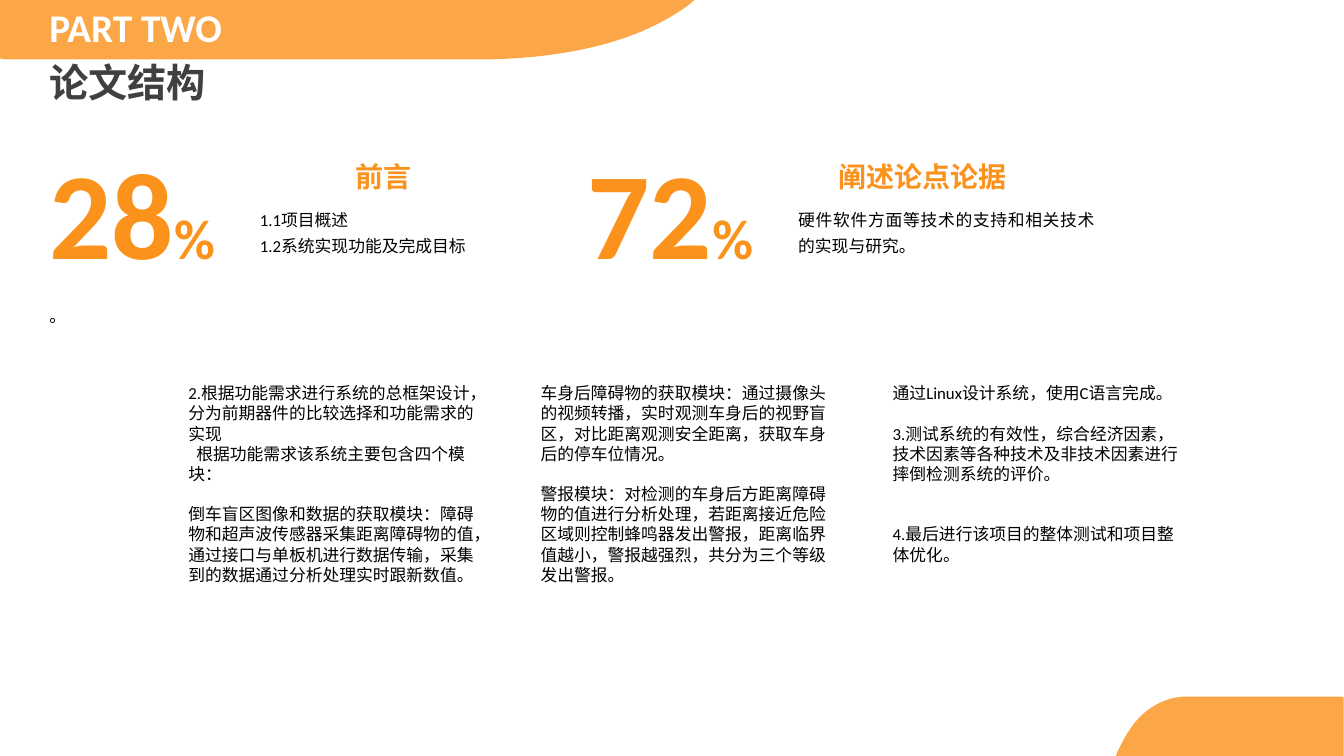
from lxml import etree
from pptx import Presentation, util as u
from pptx.dml.color import RGBColor
from pptx.enum import shapes, text
from pptx.oxml.ns import qn

COLORS = {"orange": "FA921B", "white": "FFFFFF", "dark": "404040", "black": "000000"}
FONT = "Calibri"
CELL = u.Inches(0.1)
LINE = 14.4
CURVE_STEPS = 16


def cells(*values):
    return [round(value * CELL) for value in values]


def bezier(start, first, second, end):
    for step in range(1, CURVE_STEPS + 1):
        t = step / CURVE_STEPS
        s = 1 - t
        weights = (s ** 3, 3 * s * s * t, 3 * s * t * t, t ** 3)
        corners = (start, first, second, end)
        yield tuple(sum(w * c[axis] for w, c in zip(weights, corners)) for axis in (0, 1))


class Deck:
    def __init__(self, width, height):
        self.presentation = Presentation()
        self.presentation.slide_width, self.presentation.slide_height = cells(width, height)
        self.slide = self.presentation.slides.add_slide(self.presentation.slide_layouts[5])
        self.canvas = self.slide.shapes

    def style(self, paragraph, size, color, bold=False, align=text.PP_ALIGN.LEFT, spacing=1.0):
        paragraph.alignment = align
        paragraph.line_spacing = spacing
        paragraph.space_before = u.Pt(0)
        paragraph.font.name = FONT
        paragraph.font.size = u.Pt(size)
        paragraph.font.bold = bold
        paragraph.font.color.rgb = RGBColor.from_string(COLORS[color])

    def title(self, box, content, size, color):
        shape = self.slide.shapes.title
        self.slide.shapes._spTree.append(shape._element)
        shape.left, shape.top, shape.width, shape.height = cells(*box)
        frame = shape.text_frame
        frame.text = content
        frame.auto_size = text.MSO_AUTO_SIZE.NONE
        frame.vertical_anchor = text.MSO_ANCHOR.MIDDLE
        self.style(frame.paragraphs[0], size, color, True, spacing=0.9)

    def text(self, box, lines, size, color="black", wrap=True,
             anchor=text.MSO_ANCHOR.TOP, **look):
        frame = self.canvas.add_textbox(*cells(*box)).text_frame
        frame.word_wrap = wrap
        frame.vertical_anchor = anchor
        for index, line in enumerate(lines):
            paragraph = frame.add_paragraph() if index else frame.paragraphs[0]
            paragraph.text = line
            self.style(paragraph, size, color, **look)
        return frame

    def heading(self, box, content):
        shape = self.canvas.add_shape(shapes.MSO_SHAPE.RECTANGLE, *cells(*box))
        shape.shadow.inherit = False
        shape.fill.solid()
        shape.fill.fore_color.rgb = RGBColor.from_string(COLORS["white"])
        shape.line.fill.background()
        shape.text_frame.word_wrap = False
        shape.text_frame.text = content
        self.style(shape.text_frame.paragraphs[0], 20, "orange", True, text.PP_ALIGN.CENTER)

    def band(self, outline):
        start, *rest = [tuple(cells(*point)) for point in outline]
        builder = self.canvas.build_freeform(*start)
        builder.add_line_segments(rest)
        shape = builder.convert_to_shape()
        shape.shadow.inherit = False
        shape.fill.solid()
        shape.fill.fore_color.rgb = RGBColor.from_string(COLORS["orange"])
        shape.line.fill.background()
        color = shape._element.spPr.find(".//" + qn("a:srgbClr"))
        etree.SubElement(color, qn("a:alpha")).set("val", "80000")

    def figure(self, left, number, title, title_width, lines):
        self.canvas = self.slide.shapes.add_group_shape().shapes
        self.heading((left + 34.2 - title_width / 2, 15.3, title_width, 4.4), title)
        self.text((left + 20.9, 19.7, 31.4, 6), lines, 12,
                  align=text.PP_ALIGN.JUSTIFY, spacing=1.3)
        frame = self.text((left, 13, 18.6, 15.8), [""], 88, "orange", wrap=False, bold=True)
        for content, size in ((number, 88), ("%", 40)):
            run = frame.paragraphs[0].add_run()
            run.text = content
            run.font.size = u.Pt(size)
        self.canvas = self.slide.shapes

    def column(self, box, entries):
        frame = self.text(box, [content for content, _, _ in entries], 12)
        for paragraph, (_, gap, indent) in zip(frame.paragraphs, entries):
            paragraph.space_before = u.Pt(gap * LINE)
            if indent:
                paragraph._p.get_or_add_pPr().set("indent", str(cells(indent)[0]))


HEADER_BAND = [
    (0, 0), (68.9, 0), (68.3, 0.5),
    *bezier((68.3, 0.5), (66, 2.2), (63, 3.6), (59.5, 4.5)),
    *bezier((59.5, 4.5), (56, 5.4), (51.9, 5.9), (47.3, 5.9)),
    (0.6, 5.9), (0, 5.8), (0, 0),
]
CORNER_BAND = [
    (133.3, 75), (110.7, 75), (110.9, 74.5),
    *bezier((110.9, 74.5), (111.7, 72.8), (112.6, 71.4), (113.8, 70.5)),
    *bezier((113.8, 70.5), (115, 69.6), (116.3, 69.1), (117.8, 69.1)),
    (133.1, 69.1), (133.3, 69.2), (133.3, 75),
]
FIGURES = [
    ("28", "前言", 7.6, ["1.1项目概述", "1.2系统实现功能及完成目标"]),
    ("72", "阐述论点论据", 18.8, ["硬件软件方面等技术的支持和相关技术的实现与研究。"]),
]
COLUMNS = [
    [
        ("2.根据功能需求进行系统的总框架设计，分为前期器件的比较选择和功能需求的实现", 0, 0),
        ("根据功能需求该系统主要包含四个模块：", 0, 0.8),
        ("倒车盲区图像和数据的获取模块：障碍物和超声波传感器采集距离障碍物的值，"
         "通过接口与单板机进行数据传输，采集到的数据通过分析处理实时跟新数值。", 1, 0),
    ],
    [
        ("车身后障碍物的获取模块：通过摄像头的视频转播，实时观测车身后的视野盲区，"
         "对比距离观测安全距离，获取车身后的停车位情况。", 0, 0),
        ("警报模块：对检测的车身后方距离障碍物的值进行分析处理，若距离接近危险区域则控制蜂鸣器发出警报，"
         "距离临界值越小，警报越强烈，共分为三个等级发出警报。", 1, 0),
    ],
    [
        ("通过Linux设计系统，使用C语言完成。", 0, 0),
        ("3.测试系统的有效性，综合经济因素，技术因素等各种技术及非技术因素进行摔倒检测系统的评价。", 1, 0),
        ("4.最后进行该项目的整体测试和项目整体优化。", 2, 0),
    ],
]
MARGIN = 3.9
FIGURE_PITCH = 53.4
COLUMN_LEFT, COLUMN_PITCH, COLUMN_WIDTH = 17.7, 34.94, 31.04


def main():
    deck = Deck(133.33, 75)
    deck.band(HEADER_BAND)
    deck.band(CORNER_BAND)
    deck.text((MARGIN, 0.4, 23.5, 5.1), ["PART TWO"], 28, "white",
              anchor=text.MSO_ANCHOR.MIDDLE, bold=True, spacing=0.9)
    deck.title((MARGIN, 5.9, 37.4, 5.1), "论文结构", 28, "dark")
    deck.text((MARGIN, 29.8, 125.2, 3), ["。"], 12)
    for index, entries in enumerate(COLUMNS):
        deck.column((COLUMN_LEFT + index * COLUMN_PITCH, 37.5, COLUMN_WIDTH, 23.2), entries)
    for index, figure in enumerate(FIGURES):
        deck.figure(MARGIN + index * FIGURE_PITCH, *figure)
    deck.presentation.save("out.pptx")


if __name__ == "__main__":
    main()
